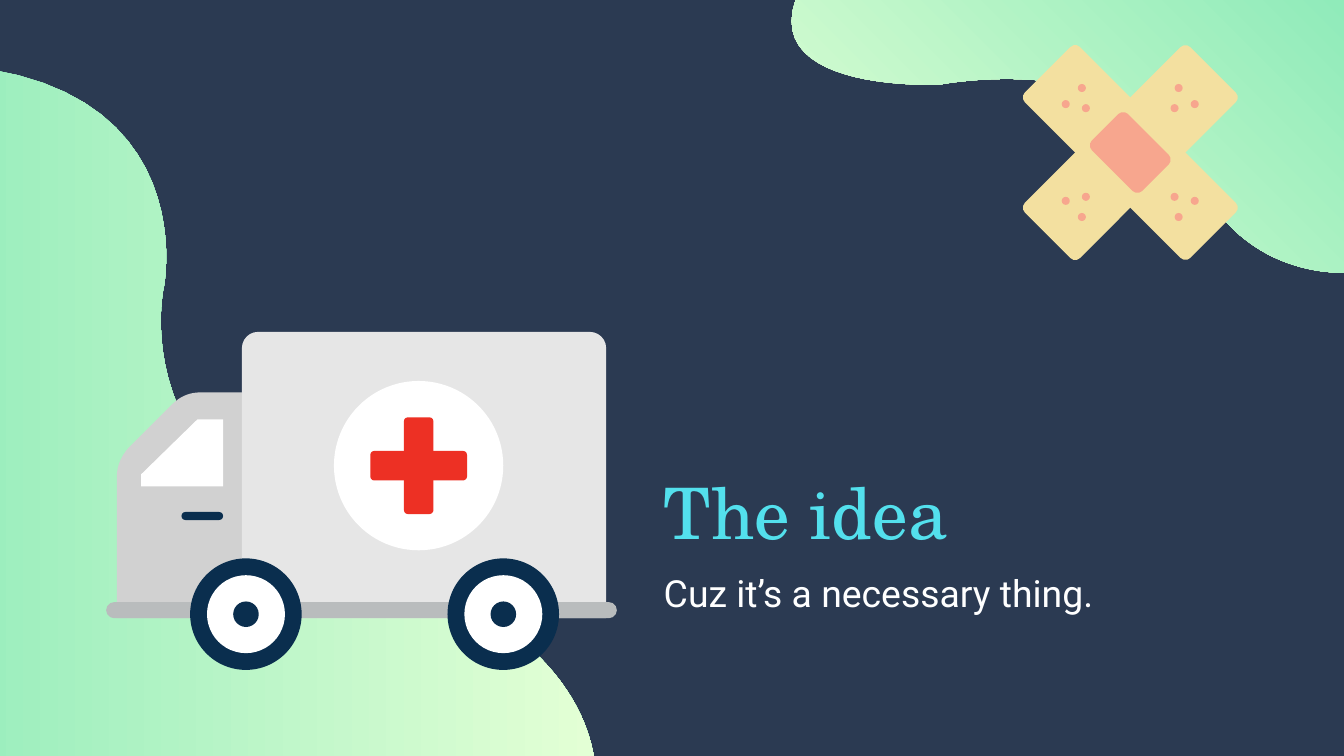
from pptx import Presentation
from pptx.dml.color import RGBColor
from pptx.enum.shapes import MSO_SHAPE
from pptx.enum.text import MSO_ANCHOR
from pptx.util import Inches, Pt

OVAL = MSO_SHAPE.OVAL
ROUNDED = MSO_SHAPE.ROUNDED_RECTANGLE
TOP_ROUNDED = MSO_SHAPE.ROUND_2_SAME_RECTANGLE
TOP, MIDDLE = MSO_ANCHOR.TOP, MSO_ANCHOR.MIDDLE

COLUMNS, ROWS = 100, 56.25
CELL = Inches(0.1)
CURVE_STEPS = 24

COLORS = {
    "night": "2B3A52", "mint": "90EBBA", "pale": "E3FFD5",
    "cyan": "53E0ED", "white": "FFFFFF", "navy": "0A2E4E",
    "plaster": "F3E0A0", "pad": "F7A68E", "red": "ED3024",
    "cab": "D1D1D1", "body": "E6E6E6", "bumper": "B9BCBD",
}

LEFT_WAVE = [
    [(44.2, 56.4)],
    [(43.6, 52.8), (40.8, 46.2), (27.6, 41.8)],
    [(8.8, 35.6), (12.2, 21.3), (12.2, 21.3)],
    [(12.2, 21.3), (15.6, 3.6), (-8.6, 4.8)],
    [(-8.6, 56.4)],
]
RIGHT_WAVE = [
    [(100, 20.3)],
    [(96.9, 20.3), (91.7, 19.1), (88.8, 12.8)],
    [(84.6, 3.4), (69.9, 6.3), (69.9, 6.3)],
    [(69.9, 6.3), (56.8, 6.9), (59.2, 0)],
    [(100, 0)],
]
CAB = [
    [(14.9, 29.2)],
    [(14.1, 29.2), (13.4, 29.5), (12.8, 30.1)],
    [(9.5, 33.4)],
    [(9, 34), (8.7, 34.7), (8.7, 35.5)],
    [(8.7, 46)], [(18, 46)], [(18, 29.2)],
]
WINDOW = [[(10.5, 36.2)], [(16.6, 36.2)], [(16.6, 31.2)],
          [(14.7, 31.2)], [(10.5, 35.3)]]


def cells(count):
    return round(count * CELL)


def rgb(name):
    return RGBColor.from_string(COLORS[name])


def trace(segments):
    points = [segments[0][0]]
    for segment in segments[1:]:
        if len(segment) == 1:
            points.append(segment[0])
            continue
        controls = [points[-1], *segment]
        for step in range(1, CURVE_STEPS + 1):
            t = step / CURVE_STEPS
            weights = ((1 - t) ** 3, 3 * t * (1 - t) ** 2, 3 * t * t * (1 - t), t ** 3)
            points.append(tuple(
                sum(weight * control[axis] for weight, control in zip(weights, controls))
                for axis in (0, 1)))
    return [(cells(x), cells(y)) for x, y in points]


class Canvas:
    def __init__(self, slide):
        self.slide = slide
        slide.background.fill.solid()
        slide.background.fill.fore_color.rgb = rgb("night")

    def finish(self, shape, color):
        shape.shadow.inherit = False
        shape.line.fill.background()
        shape.fill.solid()
        shape.fill.fore_color.rgb = rgb(color)
        return shape

    def centered(self, kind, x, y, width, height, color, radius=0, angle=0):
        shape = self.slide.shapes.add_shape(
            kind, cells(x - width / 2), cells(y - height / 2), cells(width), cells(height))
        if kind != OVAL:
            shape.adjustments[0] = radius / min(width, height)
        shape.rotation = angle
        return self.finish(shape, color)

    def circle(self, x, y, radius, color):
        return self.centered(OVAL, x, y, 2 * radius, 2 * radius, color)

    def outline(self, segments, color):
        start, *rest = trace(segments)
        builder = self.slide.shapes.build_freeform(*start, scale=1.0)
        builder.add_line_segments(rest, close=True)
        return self.finish(builder.convert_to_shape(), color)

    def wave(self, segments, first, last, angle):
        fill = self.outline(segments, first).fill
        fill.gradient()
        fill.gradient_angle = angle
        for stop, position, color in zip(fill.gradient_stops, (0, 1), (first, last)):
            stop.position = position
            stop.color.rgb = rgb(color)

    def text(self, words, top, height, font, size, color, anchor):
        box = self.slide.shapes.add_textbox(cells(48.4), cells(top), cells(43.7), cells(height))
        frame = box.text_frame
        frame.word_wrap = True
        frame.vertical_anchor = anchor
        frame.margin_left = frame.margin_right = cells(1)
        frame.margin_top = frame.margin_bottom = cells(1)
        paragraph = frame.paragraphs[0]
        paragraph.text = words
        paragraph.font.name = font
        paragraph.font.size = Pt(size)
        paragraph.font.color.rgb = rgb(color)

    def bandage(self, x, y):
        for slope in (-1, 1):
            self.centered(ROUNDED, x, y, 17.4, 5.8, "plaster", 0.5, 45 * slope)
            self.centered(ROUNDED, x, y, 5.3, 3.8, "pad", 0.5, 45 * slope)
            for side in (-1, 1):
                for across, down in ((3.6, 4.8), (4.8, 3.6), (3.3, 3.3)):
                    self.circle(x + side * across, y + side * slope * down, 0.3, "pad")

    def ambulance(self):
        self.outline(CAB, "cab")
        self.outline(WINDOW, "white")
        self.centered(ROUNDED, 15.05, 38.4, 3.1, 0.6, "navy", 0.3)
        self.centered(TOP_ROUNDED, 31.55, 35.35, 27.1, 21.3, "body", 1.2)
        self.circle(31.15, 34.65, 6.3, "white")
        for width, height in ((2.2, 7.2), (7.2, 2.2)):
            self.centered(ROUNDED, 31.15, 34.65, width, height, "red", 0.3)
        self.centered(ROUNDED, 26.9, 45.4, 38, 1.2, "bumper", 0.6)
        for x in (18.3, 37.45):
            for radius, color in ((4.15, "navy"), (2.9, "white"), (0.95, "navy")):
                self.circle(x, 45.7, radius, color)


def main():
    presentation = Presentation()
    presentation.slide_width = cells(COLUMNS)
    presentation.slide_height = cells(ROWS)
    canvas = Canvas(presentation.slides.add_slide(presentation.slide_layouts[6]))
    canvas.wave(LEFT_WAVE, "mint", "pale", 0)
    canvas.wave(RIGHT_WAVE, "pale", "mint", 45)
    canvas.text("The idea", 33.9, 6.7, "TeX Gyre Schola", 38, "cyan", TOP)
    canvas.text("Cuz it’s a necessary thing.", 42.5, 3.2, "Roboto", 20, "white", MIDDLE)
    canvas.bandage(84.1, 11.35)
    canvas.ambulance()
    presentation.save("out.pptx")


if __name__ == "__main__":
    main()
